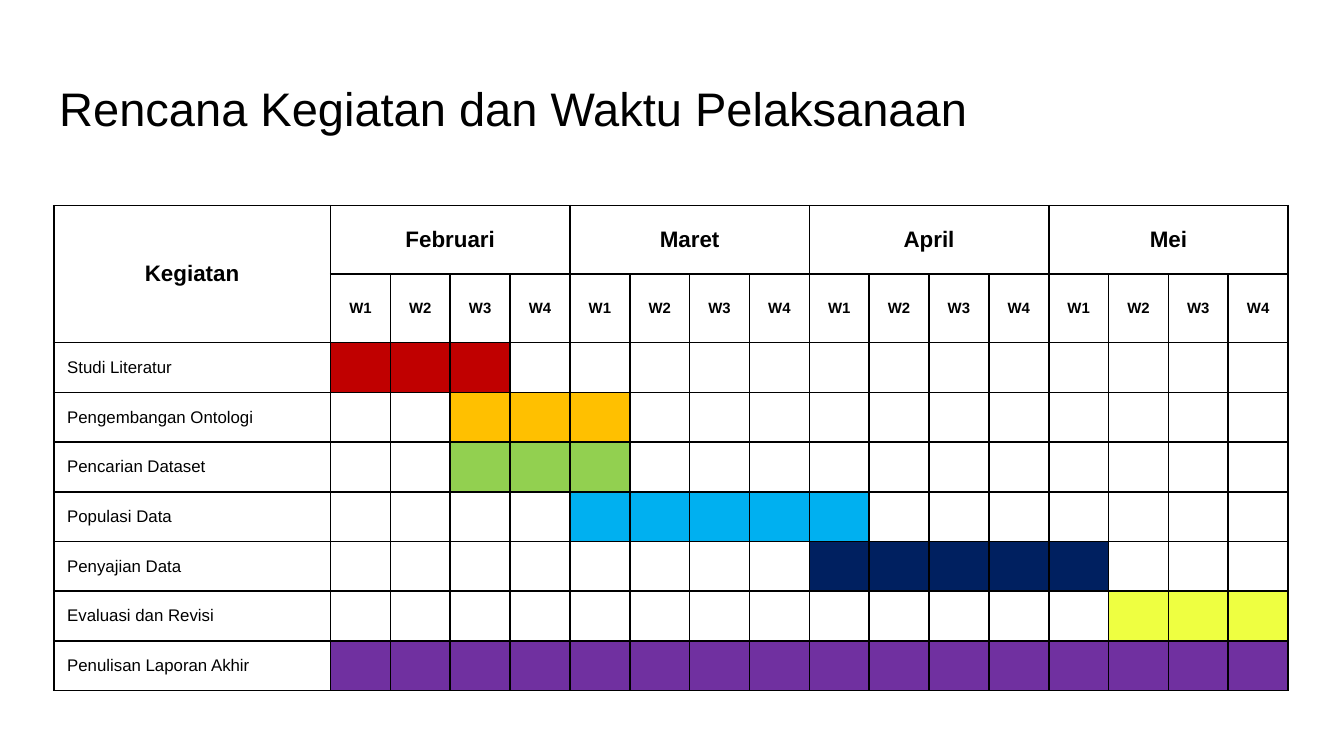
from dataclasses import dataclass

from lxml import etree
from pptx import Presentation
from pptx.dml.color import RGBColor
from pptx.enum import text as t
from pptx.oxml import ns
from pptx.util import Inches, Pt


@dataclass(frozen=True)
class Theme:
    font: str = "Arial"
    ink: str = "000000"
    paper: str = "FFFFFF"
    title: float = 25.2
    head: float = 12
    week: float = 8
    task: float = 9
    line: float = 1


THEME = Theme()
TITLE = "Rencana Kegiatan dan Waktu Pelaksanaan"
HEAD = "Kegiatan"
MONTHS = ["Februari", "Maret", "April", "Mei"]
WEEKS = ["W1", "W2", "W3", "W4"]
# task, first week, last week (counted from 1), bar colour
TASKS = [
    ("Studi Literatur", 1, 3, "C00000"),
    ("Pengembangan Ontologi", 3, 5, "FFC000"),
    ("Pencarian Dataset", 3, 5, "92D050"),
    ("Populasi Data", 5, 9, "00B0F0"),
    ("Penyajian Data", 9, 13, "002060"),
    ("Evaluasi dan Revisi", 14, 16, "EEFF41"),
    ("Penulisan Laporan Akhir", 1, 16, "7030A0"),
]

WIDE = 10
HIGH = WIDE * 9 / 16
LEFT, TOP, SPAN = 0.4, 1.53, 9.19
TASK_W, HEAD_H, ROW_H = 2.06, 0.51, 0.37
SLOTS = len(MONTHS) * len(WEEKS)


def write(frame, words, size, bold=False, align=t.PP_ALIGN.LEFT):
    para = frame.paragraphs[0]
    para.alignment = align
    run = para.add_run()
    run.text = words
    font = run.font
    font.name, font.size, font.bold = THEME.font, Pt(size), bold
    font.color.rgb = RGBColor.from_string(THEME.ink)


def border(cell):
    props = cell._tc.get_or_add_tcPr()
    for side in ("lnL", "lnR", "lnT", "lnB"):
        line = etree.SubElement(props, ns.qn(f"a:{side}"), w=str(Pt(THEME.line)))
        fill = etree.SubElement(line, ns.qn("a:solidFill"))
        etree.SubElement(fill, ns.qn("a:srgbClr"), val=THEME.ink)


def paint(cell, color):
    cell.fill.solid()
    cell.fill.fore_color.rgb = RGBColor.from_string(color)


def add_title(slide):
    title = slide.shapes.title
    title.left, title.top = Inches(0.34), Inches(0.49)
    title.width, title.height = Inches(9.32), Inches(0.63)
    frame = title.text_frame
    frame.margin_left = frame.margin_right = Inches(0.1)
    frame.margin_top = frame.margin_bottom = Inches(0.1)
    frame.auto_size = t.MSO_AUTO_SIZE.NONE
    frame.vertical_anchor = t.MSO_ANCHOR.MIDDLE
    write(frame, TITLE, THEME.title)


def add_grid(slide):
    """Add the empty, ruled table that the plan is written into."""
    heights = [HEAD_H] * 2 + [ROW_H] * len(TASKS)
    grid = slide.shapes.add_table(
        len(heights), SLOTS + 1, Inches(LEFT), Inches(TOP),
        Inches(SPAN), Inches(sum(heights))).table
    grid.first_row = grid.horz_banding = False
    for row, high in zip(grid.rows, heights):
        row.height = Inches(high)
    for num, col in enumerate(grid.columns):
        col.width = Inches((SPAN - TASK_W) / SLOTS if num else TASK_W)
    for cell in grid.iter_cells():
        cell.margin_top = cell.margin_bottom = 0
        cell.vertical_anchor = t.MSO_ANCHOR.MIDDLE
        border(cell)
        paint(cell, THEME.paper)
    return grid


def fill_head(grid):
    mid = t.PP_ALIGN.CENTER
    corner = grid.cell(0, 0)
    corner.merge(grid.cell(1, 0))
    write(corner.text_frame, HEAD, THEME.head, True, mid)
    for m, month in enumerate(MONTHS):
        first = 1 + m * len(WEEKS)
        cell = grid.cell(0, first)
        cell.merge(grid.cell(0, first + len(WEEKS) - 1))
        write(cell.text_frame, month, THEME.head, True, mid)
        for w, week in enumerate(WEEKS):
            write(grid.cell(1, first + w).text_frame, week, THEME.week, True, mid)


def fill_tasks(grid):
    for row, (task, first, last, color) in enumerate(TASKS, 2):
        write(grid.cell(row, 0).text_frame, task, THEME.task)
        for col in range(first, last + 1):
            paint(grid.cell(row, col), color)


def main():
    deck = Presentation()
    deck.slide_width, deck.slide_height = Inches(WIDE), Inches(HIGH)
    slide = deck.slides.add_slide(deck.slide_layouts[5])
    add_title(slide)
    grid = add_grid(slide)
    fill_head(grid)
    fill_tasks(grid)
    deck.save("out.pptx")


if __name__ == "__main__":
    main()
